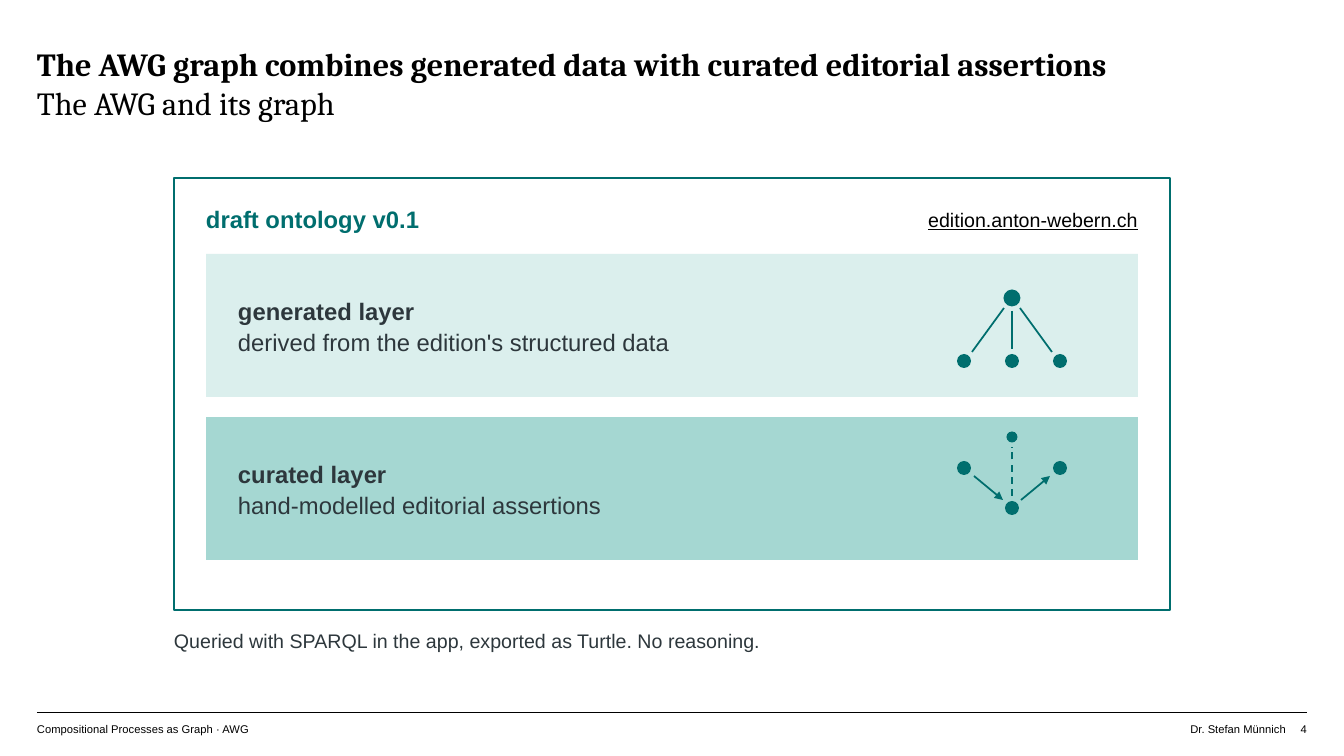
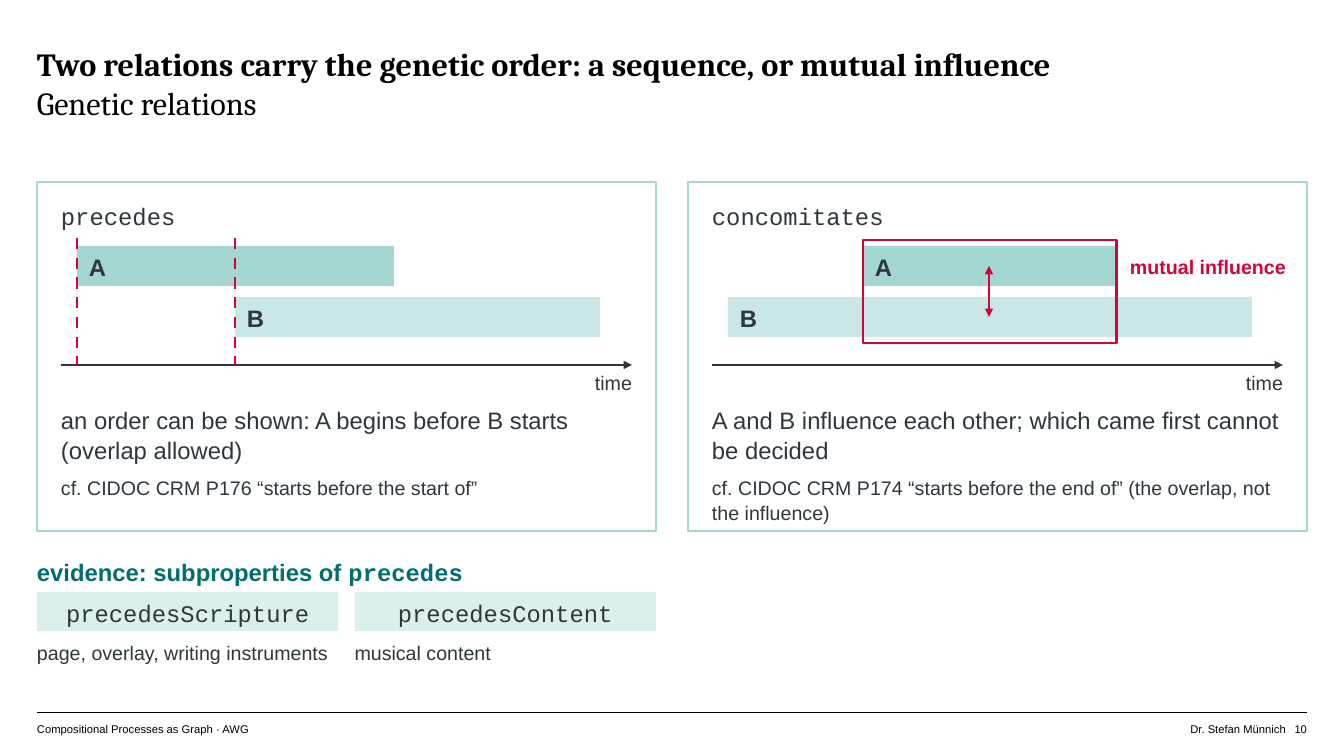
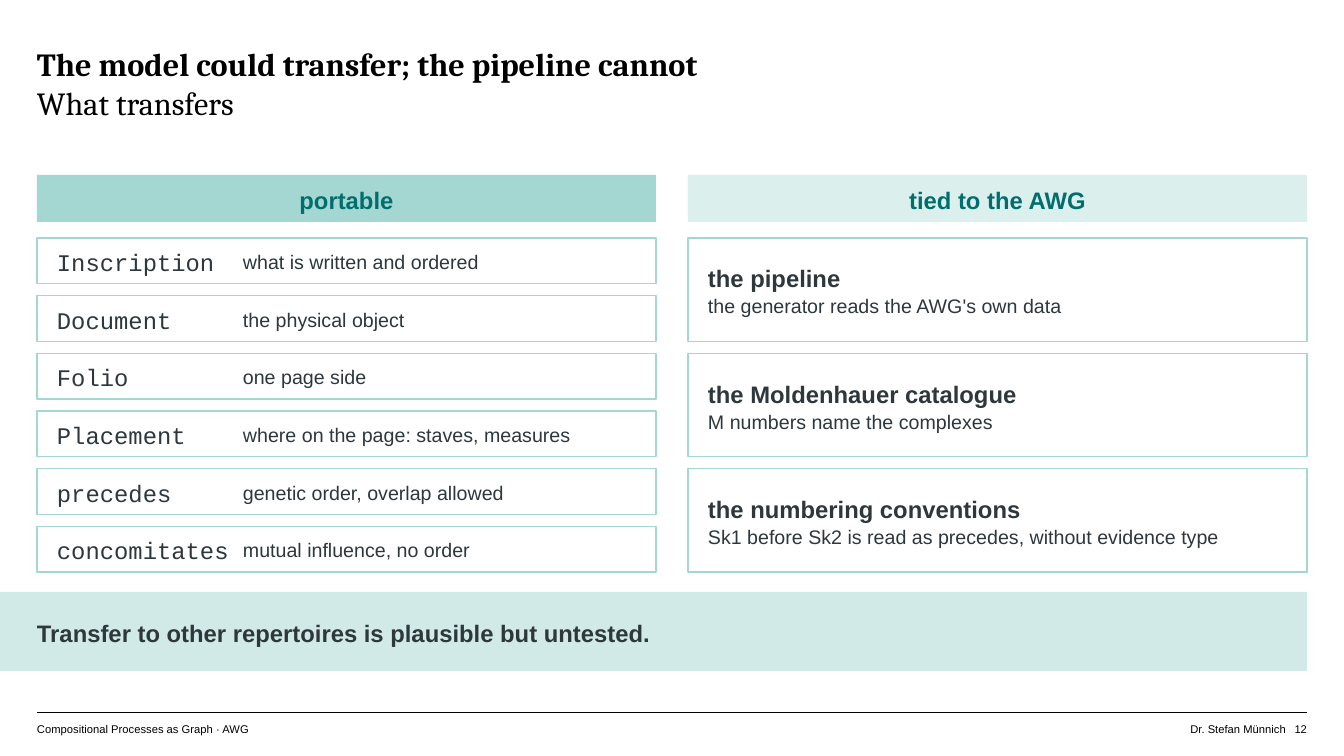
from lxml import etree
from pptx import Presentation
from pptx import util as u
from pptx.dml.color import RGBColor
from pptx.enum import dml, shapes, text
from pptx.oxml import ns

PX = 12192000 / 1344
COLORS = {"black": "000000", "ink": "2D373C", "teal": "006E6E", "mint": "A5D7D2",
          "light": "C9E7E4", "pale": "DBEFED", "red": "D20537"}
LEADING = {23: 28, 17: 22, 14: 18}
ALIGN = {"l": text.PP_ALIGN.LEFT, "c": text.PP_ALIGN.CENTER, "r": text.PP_ALIGN.RIGHT}
MONO = "Courier New"
LEFT, WIDTH, GAP = 37, 1270, 32
COLUMN = (WIDTH - GAP) // 2
COLUMNS = (LEFT, LEFT + COLUMN + GAP)


def px(n):
    """Turn pixels into EMU."""
    return u.Emu(round(n * PX))


def rgb(name):
    """Look up a palette colour."""
    return RGBColor.from_string(COLORS[name])


def write(sp, *lines, align="l", middle=False, inset=0, top=0, **base):
    """Fill a shape with paragraphs, each a string or a list of (text, format) runs."""
    tf = sp.text_frame
    tf.word_wrap = True
    tf.margin_left, tf.margin_top, tf.margin_right, tf.margin_bottom = px(inset), px(top), 0, 0
    tf.vertical_anchor = text.MSO_ANCHOR.MIDDLE if middle else text.MSO_ANCHOR.TOP
    for i, line in enumerate(lines):
        p = tf.paragraphs[0] if i == 0 else tf.add_paragraph()
        p.alignment = ALIGN[align]
        runs = [(line, {})] if isinstance(line, str) else line
        for content, extra in runs:
            fmt = {"size": 17, "font": "Arial", "color": "ink", "bold": False,
                   "underline": False, **base, **extra}
            r = p.add_run()
            r.text = content
            r.font.size, r.font.name = u.Pt(fmt["size"]), fmt["font"]
            r.font.bold, r.font.underline = fmt["bold"], fmt["underline"]
            r.font.color.rgb = rgb(fmt["color"])
            if fmt["size"] in LEADING:
                p.line_spacing = u.Pt(LEADING[fmt["size"]])


def label(s, x, y, w, h, *lines, **fmt):
    """Add a text box."""
    write(s.shapes.add_textbox(px(x), px(y), px(w), px(h)), *lines, **fmt)


def shape(s, x, y, w, h, fill=None, line=None, width=1, kind=shapes.MSO_SHAPE.RECTANGLE):
    """Add a flat preset shape with an optional fill and outline."""
    sp = s.shapes.add_shape(kind, px(x), px(y), px(w), px(h))
    sp.shadow.inherit = False
    if fill:
        sp.fill.solid()
        sp.fill.fore_color.rgb = rgb(fill)
    else:
        sp.fill.background()
    if line:
        sp.line.color.rgb = rgb(line)
        sp.line.width = u.Pt(width)
    else:
        sp.line.fill.background()
    return sp


def dot(s, x, y, d):
    """Add a graph node centred on a point."""
    shape(s, x - d / 2, y - d / 2, d, d, fill="teal", kind=shapes.MSO_SHAPE.OVAL)


def line(s, x1, y1, x2, y2, color, width, dash=False, ends=()):
    """Add a straight connector with optional arrowheads."""
    c = s.shapes.add_connector(shapes.MSO_CONNECTOR.STRAIGHT, px(x1), px(y1), px(x2), px(y2))
    c.line.color.rgb = rgb(color)
    c.line.width = u.Pt(width)
    if dash:
        c.line.dash_style = dml.MSO_LINE.DASH
    for end in ends:
        etree.SubElement(c.line._get_or_add_ln(), ns.qn(f"a:{end}"), type="triangle")
    etree.SubElement(c._element.spPr, ns.qn("a:effectLst"))


def frame(prs, title, subtitle, number):
    """Start a slide with its title, footer rule and footer."""
    s = prs.slides.add_slide(prs.slide_layouts[6])
    label(s, LEFT, 44, WIDTH, 78, [(title, {"bold": True})], subtitle,
          size=23, font="Cambria", color="black")
    line(s, LEFT, 712, LEFT + WIDTH, 712, "black", 0.25)
    for x, w, content, align in ((LEFT, 834, "Compositional Processes as Graph · AWG", "l"),
                                 (1005, 281, "Dr. Stefan Münnich", "r"),
                                 (1286, 21, number, "r")):
        label(s, x, 720, w, 20, content, align=align, top=2, size=8, color="black")
    return s


def layer(s, x, y, w, h, fill, name, detail):
    """Draw one layer band of the ontology."""
    write(shape(s, x, y, w, h, fill=fill), [(name, {"bold": True})], detail,
          middle=True, inset=32)


def tree(s, x, y):
    """Draw a root with three leaves, centred on x below y."""
    dot(s, x, y + 44, 17)
    for side in (-1, 0, 1):
        bend = 0 if side else 3
        line(s, x + 8 * side, y + 54 + bend, x + 40 * side, y + 98 - bend, "teal", 1.25)
        dot(s, x + 48 * side, y + 107, 14)


def assertion(s, x, y):
    """Draw two nodes linked through a third, with a dashed note above it."""
    line(s, x - 38, y + 59, x - 9, y + 83, "teal", 1.25, ends=("tailEnd",))
    line(s, x + 9, y + 83, x + 38, y + 59, "teal", 1.25, ends=("tailEnd",))
    line(s, x, y + 79, x, y + 30, "teal", 1.25, dash=True)
    for dx, dy, d in ((-48, 51, 14), (0, 91, 14), (48, 51, 14), (0, 20, 11)):
        dot(s, x + dx, y + dy, d)


def ontology(s, x, y, w, h):
    """Draw the ontology panel with its two layers and caption."""
    shape(s, x, y, w, h, line="teal", width=1.25)
    left, inner = x + 32, w - 64
    label(s, left, y + 24, 476, 31, "draft ontology v0.1", color="teal", bold=True)
    label(s, left + inner - 397, y + 28, 397, 24, "edition.anton-webern.ch",
          align="r", size=14, color="black", underline=True)
    layers = (("pale", "generated layer", "derived from the edition's structured data", tree),
              ("mint", "curated layer", "hand-modelled editorial assertions", assertion))
    for i, (fill, name, detail, glyph) in enumerate(layers):
        top = y + 76 + 163 * i
        layer(s, left, top, inner, 143, fill, name, detail)
        glyph(s, left + 806, top)
    label(s, x, y + h + 17, w, 24,
          "Queried with SPARQL in the app, exported as Turtle. No reasoning.", size=14)


def starts(s, x, y):
    """Mark the starts of both bars with dashed lines."""
    for dx in (40, 198):
        line(s, x + dx, y + 56, x + dx, y + 183, "red", 2, dash=True)


def overlap(s, x, y):
    """Frame the shared span of both bars and mark the mutual influence."""
    shape(s, x + 175, y + 58, 254, 103, line="red", width=2)
    line(s, x + 301, y + 84, x + 301, y + 135, "red", 2, ends=("headEnd", "tailEnd"))
    label(s, x + 442, y + 64, 170, 40, "mutual influence", middle=True,
          size=14, color="red", bold=True)


def relation(s, x, y, w, h, name, bars, mark, meaning, source):
    """Draw a relation card with its time diagram and explanation."""
    left, inner = x + 24, w - 48
    shape(s, x, y, w, h, line="mint")
    label(s, left, y + 17, inner, 24, name, font=MONO)
    for (start, length), bar, dy, fill in zip(bars, "AB", (64, 115), ("mint", "light")):
        write(shape(s, x + start, y + dy, length, 40, fill=fill), bar,
              middle=True, inset=12, bold=True)
    line(s, left, y + 183, left + inner, y + 183, "ink", 1, ends=("tailEnd",))
    label(s, left + inner - 99, y + 187, 99, 20, "time", align="r", size=14)
    mark(s, x, y)
    label(s, left, y + 221, inner, 64, meaning)
    label(s, left, y + 292, inner, 47, source, size=14)


def evidence(s, x, y, w):
    """Draw the subproperties heading with its chips."""
    label(s, x, y, w, 31, [("evidence: subproperties of ", {}), ("precedes", {"font": MONO})],
          color="teal", bold=True)
    chip = (w - 16) / 2
    chips = (("precedesScripture", "page, overlay, writing instruments"),
             ("precedesContent", "musical content"))
    for i, (name, detail) in enumerate(chips):
        left = x + (chip + 16) * i
        write(shape(s, left, y + 37, chip, 39, fill="pale"), name,
              align="c", middle=True, font=MONO)
        label(s, left, y + 84, chip, 24, detail, size=14)


def stack(y, h, items, gap=12):
    """Yield the top, height and item of equal rows filling a height."""
    row = (h - gap * (len(items) - 1)) / len(items)
    for i, item in enumerate(items):
        yield y + (row + gap) * i, row, item


def heading(s, x, y, w, h, fill, content):
    """Draw a filled column heading."""
    write(shape(s, x, y, w, h, fill=fill), content,
          align="c", middle=True, color="teal", bold=True)


def terms(s, x, y, w, h, items):
    """Draw a column of terms, each with a gloss beside it."""
    for top, row, (term, gloss) in stack(y, h, items):
        write(shape(s, x, top, w, row, line="mint"), term, middle=True, inset=20, font=MONO)
        label(s, x + 206, top, 397, row, gloss, middle=True, size=14)


def cards(s, x, y, w, h, items):
    """Draw a column of cards, each with a name over a detail."""
    for top, row, (name, detail) in stack(y, h, items):
        write(shape(s, x, top, w, row, line="mint"), [(name, {"bold": True})],
              [(detail, {"size": 14})], middle=True, inset=20)


def takeaway(s, y, h, content):
    """Draw the half-transparent closing band from the slide edge."""
    sp = shape(s, 0, y, LEFT + WIDTH, h, fill="mint")
    color = sp._element.spPr.find(ns.qn("a:solidFill"))[0]
    etree.SubElement(color, ns.qn("a:alpha"), val="50000")
    write(sp, content, middle=True, inset=LEFT, bold=True)


def graph_slide(prs):
    """Build the slide on the two layers of the graph."""
    s = frame(prs, "The AWG graph combines generated data with curated editorial assertions",
              "The AWG and its graph", "4")
    ontology(s, 174, 178, 996, 432)


def relations_slide(prs):
    """Build the slide on the two genetic relations."""
    s = frame(prs, "Two relations carry the genetic order: a sequence, or mutual influence",
              "Genetic relations", "10")
    relations = (
        ("precedes", ((40, 317), (198, 365)), starts,
         "an order can be shown: A begins before B starts (overlap allowed)",
         "cf. CIDOC CRM P176 “starts before the start of”"),
        ("concomitates", ((175, 254), (40, 524)), overlap,
         "A and B influence each other; which came first cannot be decided",
         "cf. CIDOC CRM P174 “starts before the end of” (the overlap, not the influence)"))
    for x, parts in zip(COLUMNS, relations):
        relation(s, x, 182, COLUMN, 349, *parts)
    evidence(s, LEFT, 555, COLUMN)


def transfer_slide(prs):
    """Build the slide on what transfers and what does not."""
    s = frame(prs, "The model could transfer; the pipeline cannot", "What transfers", "12")
    portable = (("Inscription", "what is written and ordered"),
                ("Document", "the physical object"),
                ("Folio", "one page side"),
                ("Placement", "where on the page: staves, measures"),
                ("precedes", "genetic order, overlap allowed"),
                ("concomitates", "mutual influence, no order"))
    tied = (("the pipeline", "the generator reads the AWG's own data"),
            ("the Moldenhauer catalogue", "M numbers name the complexes"),
            ("the numbering conventions",
             "Sk1 before Sk2 is read as precedes, without evidence type"))
    columns = (("mint", "portable", terms, portable), ("pale", "tied to the AWG", cards, tied))
    for x, (fill, name, draw, items) in zip(COLUMNS, columns):
        heading(s, x, 175, COLUMN, 47, fill, name)
        draw(s, x, 238, COLUMN, 334, items)
    takeaway(s, 592, 79, "Transfer to other repertoires is plausible but untested.")


def main():
    """Build and save the presentation."""
    prs = Presentation()
    prs.slide_width, prs.slide_height = px(1344), px(756)
    for build in (graph_slide, relations_slide, transfer_slide):
        build(prs)
    prs.save("out.pptx")


if __name__ == "__main__":
    main()
